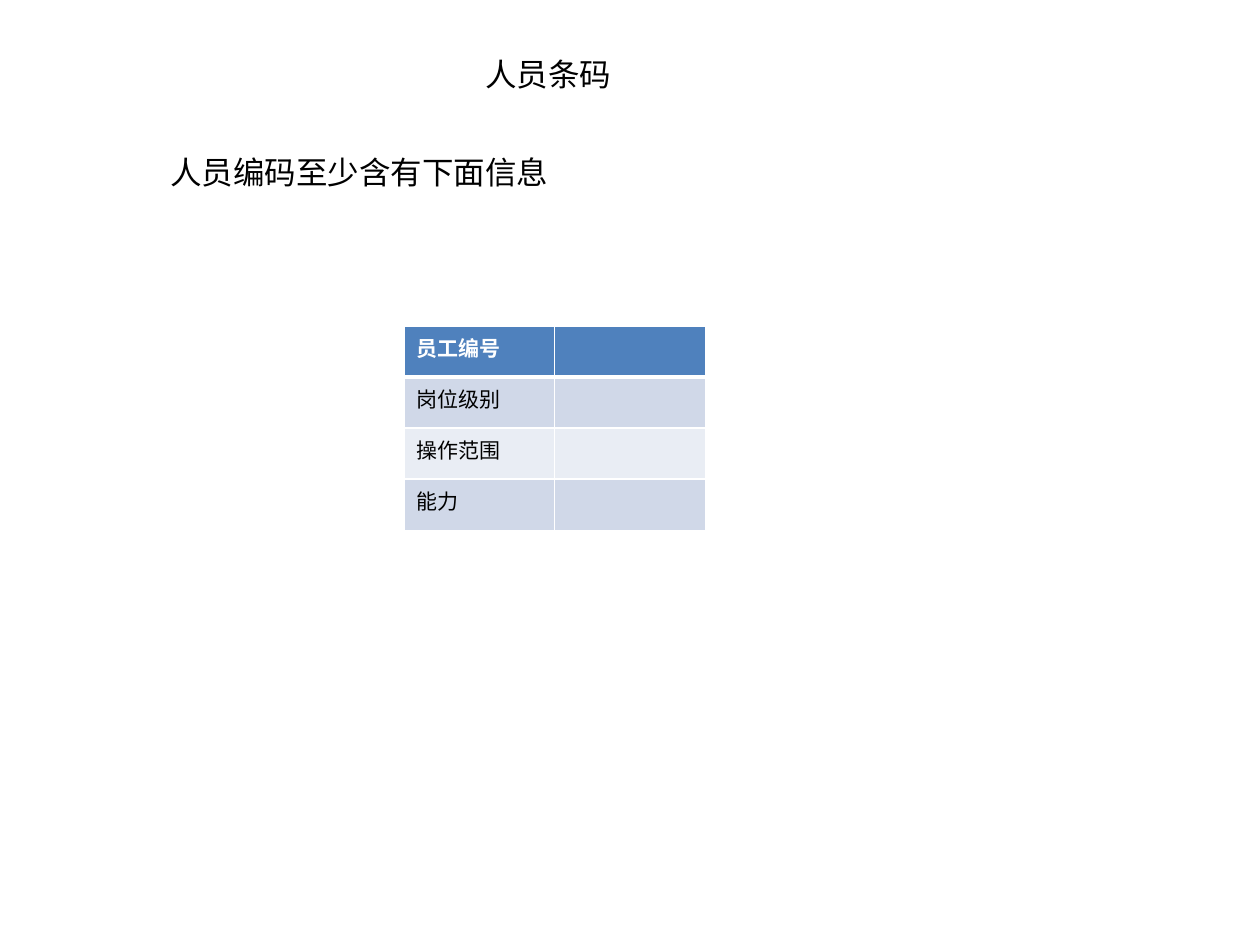
from dataclasses import dataclass

from lxml.etree import SubElement
from pptx import Presentation
from pptx.dml.color import RGBColor as Rgb
from pptx.enum.text import MSO_ANCHOR as Anchor, MSO_AUTO_SIZE as AutoSize, PP_ALIGN as Align
from pptx.oxml.ns import qn
from pptx.util import Cm, Pt

# Content
HEADING = "人员条码"
STATEMENT = "人员编码至少含有下面信息"
FIELDS = [("员工编号", ""), ("岗位级别", ""), ("操作范围", ""), ("能力", "")]


@dataclass(frozen=True)
class Theme:
    font: str = "Calibri"
    text: str = "000000"
    white: str = "FFFFFF"
    header: str = "4F81BD"
    bands: tuple = ("D0D8E8", "E9EDF4")
    large: int = 18
    small: int = 12
    rule: int = 1
    header_rule: int = 3


THEME = Theme()

# Layout
SLIDE_SIZE = Cm(25.4), Cm(19.05)
HEADING_BOX = Cm(9.53), Cm(0.99), Cm(3.07), Cm(1.03)
STATEMENT_BOX = Cm(3.18), Cm(2.97), Cm(20.45), Cm(1.03)
TABLE_LEFT, TABLE_TOP = Cm(8.14), Cm(6.57)
COLUMN_WIDTH, ROW_HEIGHT = Cm(3.04), Cm(1.03)


def add_run(paragraph, text, size, color=THEME.text, bold=False):
    run = paragraph.add_run()
    run.text = text
    run.font.name = THEME.font
    run.font.size = Pt(size)
    run.font.bold = bold
    run.font.color.rgb = Rgb.from_string(color)


def write_line(shape, text, wrap):
    frame = shape.text_frame
    frame.word_wrap = wrap
    frame.auto_size = AutoSize.SHAPE_TO_FIT_TEXT
    frame.vertical_anchor = Anchor.TOP
    line = frame.paragraphs[0]
    line.alignment = Align.LEFT
    add_run(line, text, THEME.large)


def add_borders(cell, widths):
    properties = cell._tc.get_or_add_tcPr()
    for side, width in widths.items():
        border = SubElement(properties, qn(f"a:ln{side}"), w=str(Pt(width)))
        fill = SubElement(border, qn("a:solidFill"))
        SubElement(fill, qn("a:srgbClr"), val=THEME.white)


deck = Presentation()
deck.slide_width, deck.slide_height = SLIDE_SIZE
slide = deck.slides.add_slide(deck.slide_layouts[5])

# Heading and statement
heading = slide.shapes.title
heading.left, heading.top, heading.width, heading.height = HEADING_BOX
write_line(heading, HEADING, wrap=False)
write_line(slide.shapes.add_textbox(*STATEMENT_BOX), STATEMENT, wrap=True)

# Table of required fields
row_count, column_count = len(FIELDS), len(FIELDS[0])
fields = slide.shapes.add_table(
    row_count, column_count, TABLE_LEFT, TABLE_TOP,
    COLUMN_WIDTH * column_count, ROW_HEIGHT * row_count,
).table
for row, values in enumerate(FIELDS):
    is_header = row == 0
    band = THEME.header if is_header else THEME.bands[(row - 1) % 2]
    color = THEME.white if is_header else THEME.text
    widths = {
        "L": THEME.rule,
        "R": THEME.rule,
        "T": THEME.header_rule if row == 1 else THEME.rule,
        "B": THEME.header_rule if is_header else THEME.rule,
    }
    for column, value in enumerate(values):
        cell = fields.cell(row, column)
        add_borders(cell, widths)
        cell.fill.solid()
        cell.fill.fore_color.rgb = Rgb.from_string(band)
        if value:
            add_run(cell.text_frame.paragraphs[0], value, THEME.small, color, is_header)

deck.save("out.pptx")
